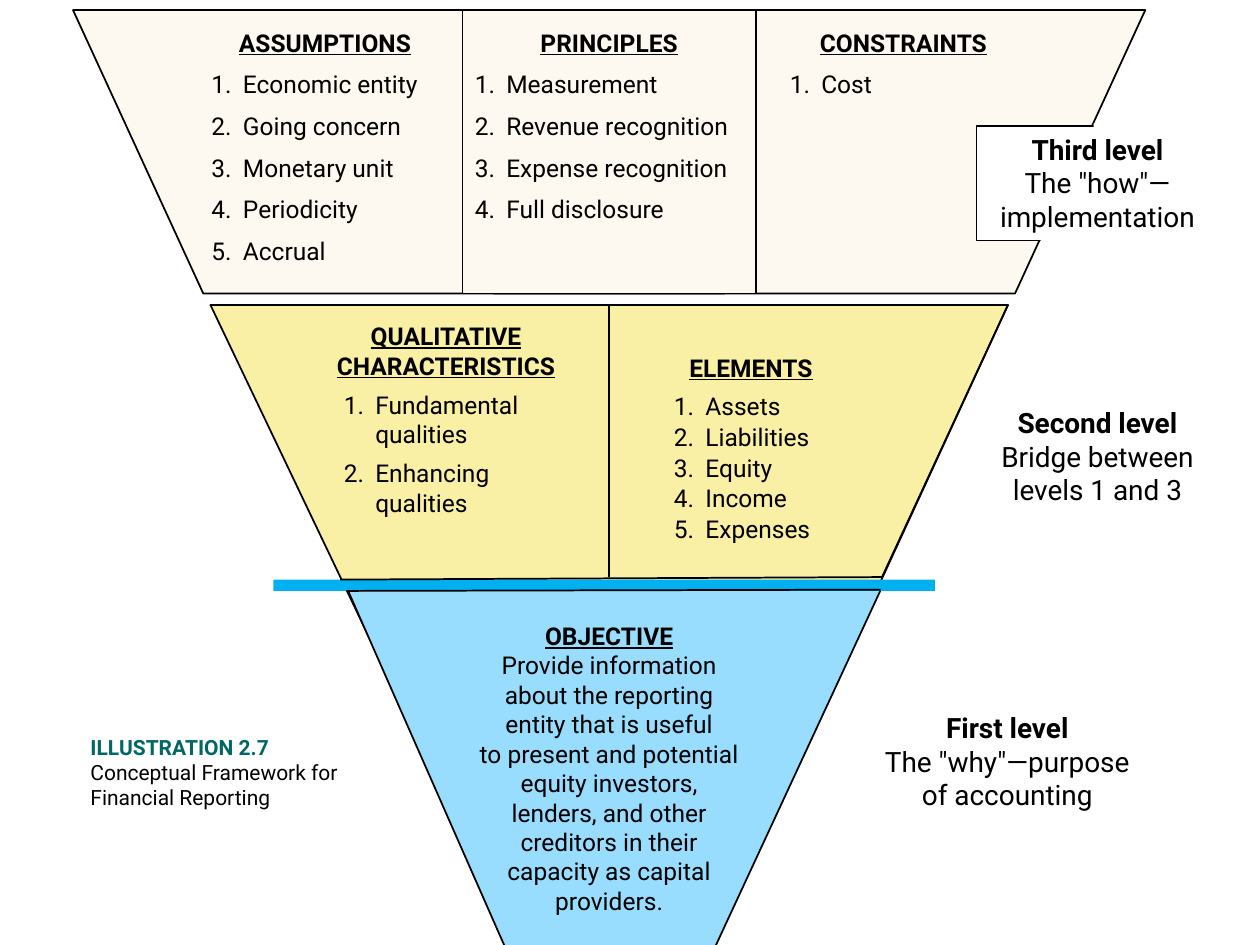
from dataclasses import dataclass
from lxml import etree
from pptx import Presentation
from pptx.dml.color import RGBColor
from pptx.enum.shapes import MSO_CONNECTOR, MSO_SHAPE
from pptx.enum.text import MSO_ANCHOR, MSO_AUTO_SIZE, PP_ALIGN
from pptx.oxml.ns import qn
from pptx.util import Inches, Pt

TRIANGLE = MSO_SHAPE.ISOSCELES_TRIANGLE
SLANTED = MSO_SHAPE.FLOWCHART_MANUAL_INPUT
RECTANGLE = MSO_SHAPE.RECTANGLE
STRAIGHT = MSO_CONNECTOR.STRAIGHT
CENTER, LEFT = PP_ALIGN.CENTER, PP_ALIGN.LEFT


@dataclass(frozen=True)
class Theme:
    font: str = "Roboto"
    ink: str = "000000"
    paper: str = "FFFFFF"
    cream: str = "FDF9F1"
    yellow: str = "F9EFA5"
    blue: str = "98DCFE"
    bar: str = "00B0F0"
    teal: str = "006666"
    caption: int = 12
    body: int = 14
    level: int = 16


THEME = Theme()
WIDTH, HEIGHT = 10, 7.5

TOP, BAND_HEIGHT = 0.08, 2.25
COLUMN_LEFT, COLUMN_WIDTH = 3.67, 2.33
WING_LENGTH = 5.17
WING_TOP = TOP + BAND_HEIGHT / 2 - WING_LENGTH / 2
LIST_TOP = 0.17
SECOND_TOP, SECOND_BOTTOM = 2.42, 4.58
MIDDLE = COLUMN_LEFT + COLUMN_WIDTH / 2

TRIANGLES = [
    ((1.67, SECOND_TOP, 6.33, 6.75), 0.491, THEME.yellow),
    ((2.75, 4.66, 4.25, 4.7), 0.513, THEME.blue),
]
WINGS = [(5.38, 90, True), (2.04, 270, False)]

LISTS = [
    dict(box=(1.58, LIST_TOP, 2, 2.1), heading="ASSUMPTIONS", before=7,
         items=["Economic entity", "Going concern", "Monetary unit", "Periodicity", "Accrual"]),
    dict(box=(COLUMN_LEFT, LIST_TOP, COLUMN_WIDTH, 1.75), heading="PRINCIPLES", before=7,
         items=["Measurement", "Revenue recognition", "Expense recognition", "Full disclosure"]),
    dict(box=(6.17, LIST_TOP, 2, 0.69), heading="CONSTRAINTS", before=7, items=["Cost"]),
    dict(box=(5.25, 2.75, 1.42, 1.64), heading="ELEMENTS", after=4.2, spacing=1.05,
         items=["Assets", "Liabilities", "Equity", "Income", "Expenses"]),
    dict(box=(2.5, 2.5, 2.08, 1.7), heading="QUALITATIVE CHARACTERISTICS", before=5.6, indent=0.38,
         items=["Fundamental qualities", "Enhancing qualities"]),
]
OBJECTIVE_BOX = (COLUMN_LEFT, 4.88, COLUMN_WIDTH, 2.46)
OBJECTIVE = [
    "Provide information about the reporting", "entity that is useful",
    "to present and potential", "equity investors,", "lenders, and other",
    "creditors in their", "capacity as capital", "providers.",
]
CAPTION_BOX = (0.62, 5.78, 2.33, 0.71)
CAPTION = ("ILLUSTRATION 2.7 ", "Conceptual Framework for Financial Reporting")
LEVELS = [
    ((6.58, 5.59, 2.83, 0.91), "First level", ['The "why"—purpose', "of accounting"]),
    ((7.67, 3.17, 2.08, 0.91), "Second level", ["Bridge between", "levels 1 and 3"]),
    ((7.75, 1, 1.92, 0.91), "Third level", ['The "how"—', "implementation"]),
]
SECOND_LINES = [
    (MIDDLE, SECOND_TOP, MIDDLE, SECOND_BOTTOM),
    (8, SECOND_TOP, 7, SECOND_BOTTOM),
    (1.67, SECOND_TOP, 8, SECOND_TOP),
]
COVERS = [
    ((8.68, 0.98, 1.04, 0.05), THEME.paper),
    ((9.58, 0.98, 0.17, 1.1), THEME.paper),
    ((8.26, 1.86, 1.46, 0.22), THEME.paper),
    ((2.17, 4.6, 5.25, 0.09), THEME.bar),
]
BAR_EDGES = [(2.7, 4.6, 7, SECOND_BOTTOM), (2.75, 4.69, 6.99, 4.68)]


def color(value):
    return RGBColor.from_string(value)


def add_shape(slide, kind, box, fill, line_width=0):
    shape = slide.shapes.add_shape(kind, *map(Inches, box))
    shape.shadow.inherit = False
    shape.fill.solid()
    shape.fill.fore_color.rgb = color(fill)
    if line_width:
        shape.line.color.rgb = color(THEME.ink)
        shape.line.width = Pt(line_width)
    else:
        shape.line.fill.background()
    return shape


def add_line(slide, ends):
    connector = slide.shapes.add_connector(STRAIGHT, *map(Inches, ends))
    connector.line.color.rgb = color(THEME.ink)
    connector.line.width = Pt(1)
    etree.SubElement(connector._element.spPr, qn("a:effectLst"))


def prepare_text(shape):
    frame = shape.text_frame
    frame.word_wrap = True
    frame.auto_size = MSO_AUTO_SIZE.SHAPE_TO_FIT_TEXT
    frame.vertical_anchor = MSO_ANCHOR.TOP
    return frame


def add_text_box(slide, box):
    return prepare_text(slide.shapes.add_textbox(*map(Inches, box)))


def add_run(paragraph, text, size, bold=False, underline=False, ink=THEME.ink):
    run = paragraph.add_run()
    run.text = text
    font = run.font
    font.name, font.size, font.bold, font.underline = THEME.font, Pt(size), bold, underline
    font.color.rgb = color(ink)


def number(paragraph, indent):
    properties = paragraph._p.get_or_add_pPr()
    properties.set("marL", str(Inches(indent)))
    properties.set("indent", str(Inches(-0.25)))
    etree.SubElement(properties, qn("a:buFont"), typeface="+mj-lt")
    etree.SubElement(properties, qn("a:buAutoNum"), type="arabicPeriod")


def write_centered(frame, heading, lines, size, underline=False):
    first = frame.paragraphs[0]
    first.alignment = CENTER
    add_run(first, heading, size, True, underline)
    for line in lines:
        paragraph = frame.add_paragraph()
        paragraph.alignment = CENTER
        add_run(paragraph, line, size)


def add_list(slide, box, heading, items, before=0, after=0, spacing=1.0, indent=0.25):
    frame = add_text_box(slide, box)
    write_centered(frame, heading, [], THEME.body, True)
    frame.paragraphs[0].space_after = Pt(after)
    for item in items:
        paragraph = frame.add_paragraph()
        number(paragraph, indent)
        paragraph.alignment = LEFT
        paragraph.space_before = Pt(before)
        paragraph.line_spacing = spacing
        add_run(paragraph, item, THEME.body)


def main():
    presentation = Presentation()
    presentation.slide_width, presentation.slide_height = Inches(WIDTH), Inches(HEIGHT)
    slide = presentation.slides.add_slide(presentation.slide_layouts[6])

    for box, apex, fill in TRIANGLES:
        triangle = add_shape(slide, TRIANGLE, box, fill, 1)
        triangle.adjustments[0] = apex
        triangle.rotation = 180
    for left, rotation, flipped in WINGS:
        wing = add_shape(slide, SLANTED, (left, WING_TOP, BAND_HEIGHT, WING_LENGTH), THEME.cream, 1)
        wing.rotation = rotation
        if flipped:
            wing._element.spPr.xfrm.set("flipH", "1")
    add_shape(slide, RECTANGLE, (COLUMN_LEFT, TOP, COLUMN_WIDTH, BAND_HEIGHT), THEME.cream, 1)

    for entry in LISTS:
        add_list(slide, **entry)
    write_centered(add_text_box(slide, OBJECTIVE_BOX), "OBJECTIVE", OBJECTIVE, THEME.body, True)

    caption = add_text_box(slide, CAPTION_BOX).paragraphs[0]
    add_run(caption, CAPTION[0], THEME.caption, True, ink=THEME.teal)
    add_run(caption, CAPTION[1], THEME.caption)

    for ends in SECOND_LINES:
        add_line(slide, ends)
    for box, heading, lines in LEVELS:
        if heading == "Third level":
            frame = prepare_text(add_shape(slide, RECTANGLE, box, THEME.paper, 0.75))
        else:
            frame = add_text_box(slide, box)
        write_centered(frame, heading, lines, THEME.level)

    for box, fill in COVERS:
        add_shape(slide, RECTANGLE, box, fill)
    for ends in BAR_EDGES:
        add_line(slide, ends)
    presentation.save("out.pptx")


if __name__ == "__main__":
    main()
